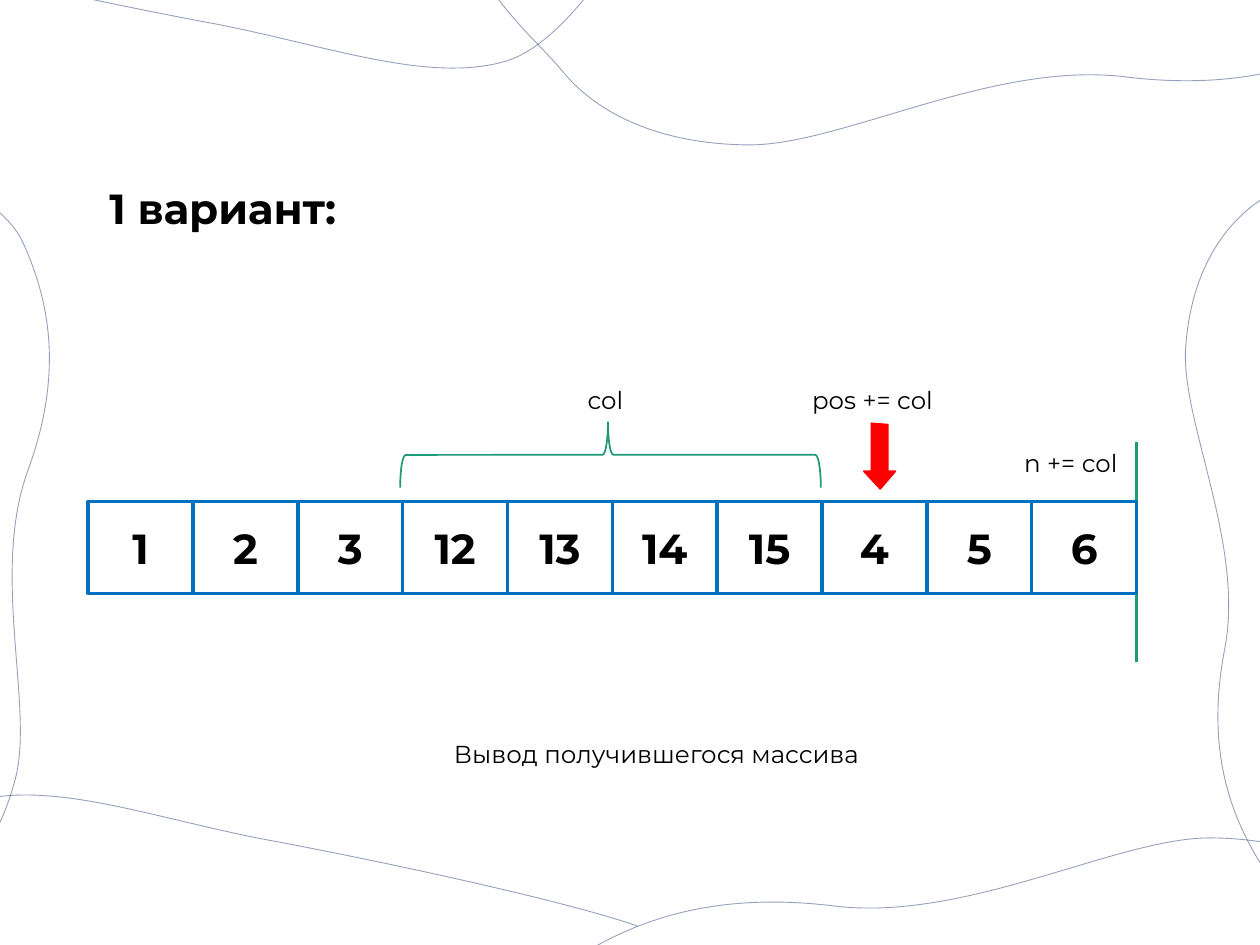
from lxml import etree
from pptx import Presentation
from pptx import util as u
from pptx.dml.color import RGBColor
from pptx.enum import shapes, text
from pptx.oxml import ns

FONT = "Montserrat"
BLACK, WHITE, NAVY = "000000", "FFFFFF", "002060"
BLUE, GREEN, RED = "0070C0", "1D9A78", "FF0000"

presentation = Presentation()
presentation.slide_width = u.Inches(10)
presentation.slide_height = u.Inches(7.5)
GRID = presentation.slide_width / 10

LEFT_WAVE = [
    (-0.72, 1.67), (-0.97, 2.05), (-1.44, 5.94), (-1.63, 6.97), (-1.82, 8.01),
    (-0.89, 7.32), (-0.6, 7.18), (-0.31, 7.04), (-0.01, 6.72), (0.13, 6.15),
    (0.26, 5.58), (-0.07, 4.54), (0.22, 3.74), (0.51, 2.95), (0.39, 2.38),
    (0.18, 1.92), (-0.03, 1.47), (-0.96, 1.22), (-1.05, 1.01)]
RIGHT_WAVE = [
    (10.99, 7.03), (11.17, 6.62), (10.99, 2.71), (11.01, 1.65), (11.02, 0.6),
    (10.23, 1.44), (9.96, 1.62), (9.7, 1.81), (9.45, 2.17), (9.41, 2.76),
    (9.37, 3.34), (9.88, 4.32), (9.72, 5.15), (9.56, 5.98), (9.78, 6.52),
    (10.06, 6.94), (10.35, 7.35), (11.3, 7.44), (11.42, 7.63)]
TOP_LEFT_WAVE = [
    (-1.26, -0.5), (-0.7, -0.3), (0.84, 0.03), (1.71, 0.19), (2.59, 0.36),
    (3.39, 0.66), (4, 0.49), (4.6, 0.32), (5.06, -0.75), (5.34, -0.82)]
TOP_RIGHT_WAVE = [
    (11.22, -1.07), (10.69, -1.25), (5.76, -0.77), (4.43, -0.71), (3.09, -0.66),
    (4.21, 0.25), (4.46, 0.56), (4.71, 0.87), (5.18, 1.14), (5.93, 1.15),
    (6.67, 1.16), (7.87, 0.48), (8.93, 0.61), (9.99, 0.74), (10.66, 0.44),
    (11.16, 0.07), (11.67, -0.31), (11.71, -1.47), (11.95, -1.63)]
ARROW = [(0.24, 0), (0.24, 0.73), (0, 0.73), (0.52, 1), (1, 0.73), (0.76, 0.73), (0.76, 0.02)]


def color(value):
    return RGBColor.from_string(value)


def grid(*lengths):
    return [round(length * GRID) for length in lengths]


def style(shape, fill, line, width):
    shape.shadow.inherit = False
    if fill:
        shape.fill.solid()
        shape.fill.fore_color.rgb = color(fill)
    else:
        shape.fill.background()
    shape.line.color.rgb = color(line)
    shape.line.width = u.Pt(width)


def add_run(paragraph, words, size, bold=False):
    run = paragraph.add_run()
    run.text = words
    run.font.name = FONT
    run.font.size = u.Pt(size)
    run.font.bold = bold
    run.font.color.rgb = color(BLACK)


def add_label(slide, box, words, size=14, bold=False, align=text.PP_ALIGN.LEFT):
    frame = slide.shapes.add_textbox(*grid(*box)).text_frame
    frame.word_wrap = True
    frame.auto_size = text.MSO_AUTO_SIZE.SHAPE_TO_FIT_TEXT
    paragraph = frame.paragraphs[0]
    paragraph.alignment = align
    add_run(paragraph, words, size, bold)


def add_outline(slide, points, close):
    start, *rest = [grid(*point) for point in points]
    builder = slide.shapes.build_freeform(*start)
    builder.add_line_segments(rest, close=close)
    return builder.convert_to_shape()


def add_wave(slide, points):
    wave = add_outline(slide, points, False)
    style(wave, None, NAVY, 0.5)
    for stroke in wave.line._ln.iter(ns.qn("a:srgbClr")):
        etree.SubElement(stroke, ns.qn("a:alpha"), val="42000")
    segments = list(wave._element.iter(ns.qn("a:lnTo")))
    for first in range(0, len(segments), 3):
        curve = etree.Element(ns.qn("a:cubicBezTo"))
        segments[first].addprevious(curve)
        for segment in segments[first:first + 3]:
            curve.append(segment[0])
            segment.getparent().remove(segment)


def half_turn(points, width, height):
    return [(width - x, height - y) for x, y in points]


def add_waves(slide):
    for points in (LEFT_WAVE, RIGHT_WAVE,
                   half_turn(TOP_LEFT_WAVE, 3.8, 6.85), half_turn(TOP_RIGHT_WAVE, 15.55, 7.8),
                   TOP_LEFT_WAVE, TOP_RIGHT_WAVE):
        add_wave(slide, points)


def add_end_mark(slide, box):
    left, top, width, height = box
    right = left + width
    mark = slide.shapes.add_connector(
        shapes.MSO_CONNECTOR.STRAIGHT, *grid(right, top - 0.47, right, top + height + 0.54))
    mark.line.color.rgb = color(GREEN)
    mark.line.width = u.Pt(2)
    etree.SubElement(mark._element.spPr, ns.qn("a:effectLst"))
    add_label(slide, (right - 0.99, top - 0.47, 1, 0.34), "n += col")


def add_cells(slide, box, values):
    left, top, width, height = box
    column = width / len(values)
    for index, value in enumerate(values):
        cell = slide.shapes.add_shape(
            shapes.MSO_SHAPE.RECTANGLE, *grid(left + index * column, top, column, height))
        style(cell, WHITE, BLUE, 2)
        cell.text_frame.vertical_anchor = text.MSO_ANCHOR.MIDDLE
        paragraph = cell.text_frame.paragraphs[0]
        paragraph.alignment = text.PP_ALIGN.CENTER
        add_run(paragraph, str(value), 24, True)


def add_inserted_brace(slide, box):
    left, top, width, height = box
    brace = slide.shapes.add_shape(
        shapes.MSO_SHAPE.LEFT_BRACE,
        *grid(left + (width - height) / 2, top + (height - width) / 2, height, width))
    brace.rotation = 90
    brace.adjustments[0], brace.adjustments[1] = 0.083, 0.506
    style(brace, None, GREEN, 1)
    add_label(slide, (left + width / 2 - 0.28, top - 0.34, 0.67, 0.34), "col")


def add_position_arrow(slide, box):
    left, top, width, height = box
    arrow = add_outline(slide, [(left + x * width, top + y * height) for x, y in ARROW], True)
    style(arrow, RED, RED, 1)
    add_label(slide, (left - 0.51, top - 0.35, 1.51, 0.34), "pos += col")


def add_array(slide, box, values):
    left, top, width, height = box
    column = width / len(values)
    add_end_mark(slide, box)
    add_cells(slide, box, values)
    add_inserted_brace(slide, (left + 3 * column - 0.02, top - 0.63, 4 * column + 0.01, 0.52))
    add_position_arrow(slide, (left + 7.4 * column, top - 0.62, 0.3 * column, 0.52))


def main():
    slide = presentation.slides.add_slide(presentation.slide_layouts[6])
    slide.background.fill.solid()
    slide.background.fill.fore_color.rgb = color(WHITE)
    add_waves(slide)
    add_label(slide, (0.77, 1.4, 2.04, 0.5), "1 вариант:", 24, True)
    add_label(slide, (3.05, 5.82, 4.32, 0.34), "Вывод получившегося массива",
              align=text.PP_ALIGN.CENTER)
    add_array(slide, (0.7, 3.98, 8.32, 0.73), [1, 2, 3, 12, 13, 14, 15, 4, 5, 6])
    presentation.save("out.pptx")


if __name__ == "__main__":
    main()
